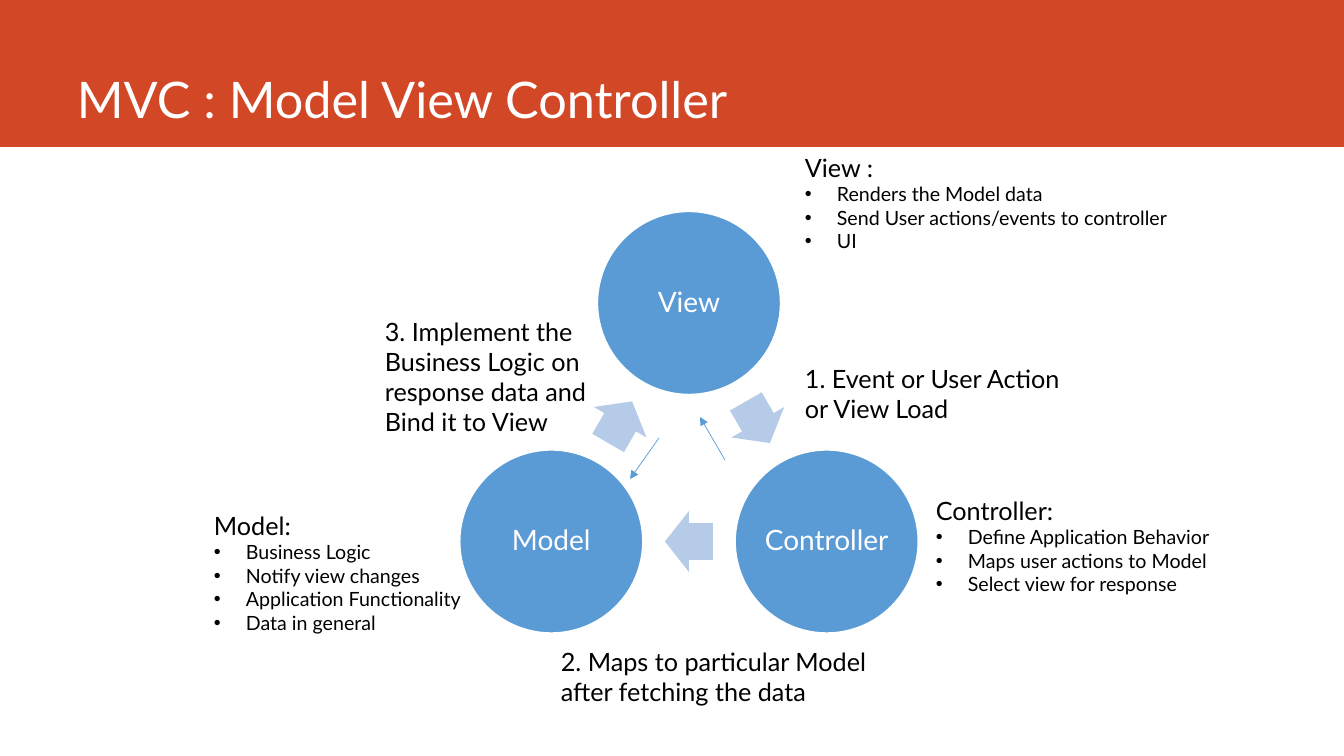
import math
from lxml import etree
from pptx import Presentation
from pptx import util as u
from pptx.dml import color
from pptx.enum import shapes, text
from pptx.oxml import ns

SCALE = 914400 / 100.8
RED, BLUE, PALE, WHITE, BLACK = "D24726", "5B9BD5", "B5CBE7", "FFFFFF", "000000"


def px(n):
    return u.Emu(round(n * SCALE))


def rgb(value):
    return color.RGBColor.from_string(value)


def add_xml(parent, tag, **attrs):
    return etree.SubElement(parent, ns.qn(tag), attrs)


class Deck:
    font = "Lato"
    indent = 32

    def __init__(self, width, height):
        self.prs = Presentation()
        self.prs.slide_width, self.prs.slide_height = px(width), px(height)
        self.s = self.prs.slides.add_slide(self.prs.slide_layouts[6])

    def run(self, p, words, size, ink):
        r = p.add_run()
        r.text = words
        r.font.name, r.font.size = self.font, u.Pt(size)
        r.font.color.rgb = rgb(ink)

    def shape(self, kind, x, y, w, h, fill, line=None):
        sp = self.s.shapes.add_shape(kind, px(x), px(y), px(w), px(h))
        sp.shadow.inherit = False
        sp.fill.solid()
        sp.fill.fore_color.rgb = rgb(fill)
        if line:
            sp.line.color.rgb = rgb(line)
            sp.line.width = u.Pt(1)
        else:
            sp.line.fill.background()
        return sp

    def circle(self, cx, cy, d, label):
        sp = self.shape(shapes.MSO_SHAPE.OVAL, cx - d / 2, cy - d / 2, d, d, BLUE, WHITE)
        tf = sp.text_frame
        tf.margin_left = tf.margin_right = tf.margin_top = tf.margin_bottom = 0
        tf.word_wrap = False
        tf.vertical_anchor = text.MSO_ANCHOR.MIDDLE
        p = tf.paragraphs[0]
        p.alignment = text.PP_ALIGN.CENTER
        p.line_spacing = 0.9
        self.run(p, label, 20, WHITE)

    def block_arrow(self, cx, cy, w, h, angle):
        sp = self.shape(shapes.MSO_SHAPE.RIGHT_ARROW, cx - w / 2, cy - h / 2, w, h, PALE)
        sp.adjustments[0], sp.adjustments[1] = 0.6, 0.5
        sp.rotation = angle

    def text(self, x, y, w, h, words, size=18, ink=BLACK, bullets=(),
             anchor=text.MSO_ANCHOR.TOP):
        tf = self.s.shapes.add_textbox(px(x), px(y), px(w), px(h)).text_frame
        tf.word_wrap = True
        tf.vertical_anchor = anchor
        self.run(tf.paragraphs[0], words, size, ink)
        for item in bullets:
            p = tf.add_paragraph()
            pPr = p._p.get_or_add_pPr()
            pPr.set("marL", str(px(self.indent)))
            pPr.set("indent", str(-px(self.indent)))
            add_xml(pPr, "a:buFont", typeface="Arial")
            add_xml(pPr, "a:buChar", char="•")
            self.run(p, item, 14, ink)

    def thin_arrow(self, x1, y1, x2, y2):
        c = self.s.shapes.add_connector(
            shapes.MSO_CONNECTOR.STRAIGHT, px(x1), px(y1), px(x2), px(y2))
        c.line.color.rgb = rgb(BLUE)
        c.line.width = u.Pt(0.5)
        add_xml(c.line._get_or_add_ln(), "a:tailEnd", type="triangle")
        add_xml(c._element.spPr, "a:effectLst")


deck = Deck(1344, 756)

# Title banner
deck.shape(shapes.MSO_SHAPE.RECTANGLE, 0, 0, 1344, 147, RED)
deck.text(67, 0, 1185, 134, "MVC : Model View Controller", 36, WHITE,
          anchor=text.MSO_ANCHOR.BOTTOM)

# Cycle: circles on a ring, with a block arrow halfway to the next one
CX, CY, RADIUS = 689, 462, 159
for i, label in enumerate(["View", "Controller", "Model"]):
    at = math.radians(120 * i - 90)
    deck.circle(CX + RADIUS * math.cos(at), CY + RADIUS * math.sin(at), 183, label)
    mid = at + math.radians(60)
    deck.block_arrow(CX + RADIUS / 2 * math.cos(mid), CY + RADIUS / 2 * math.sin(mid),
                     48, 61, 60 + 120 * i)

# Steps
for x, y, w, h, step in [
    (795, 358, 280, 71, "1. Event or User Action or View Load"),
    (551, 641, 347, 71, "2. Maps to particular Model after fetching the data"),
    (375, 311, 255, 132,
     "3. Implement the Business Logic on response data and Bind it to View"),
]:
    deck.text(x, y, w, h, step)

# Return arrows inside the cycle
deck.thin_arrow(725, 460, 700, 417)
deck.thin_arrow(659, 438, 630, 479)

# Roles
for x, y, w, h, role, duties in [
    (795, 147, 414, 112, "View :",
     ["Renders the Model data", "Send User actions/events to controller", "UI"]),
    (926, 490, 414, 112, "Controller:",
     ["Define Application Behavior", "Maps user actions to Model",
      "Select view for response"]),
    (204, 505, 298, 136, "Model:",
     ["Business Logic", "Notify view changes", "Application Functionality",
      "Data in general"]),
]:
    deck.text(x, y, w, h, role, bullets=duties)

deck.prs.save("out.pptx")
